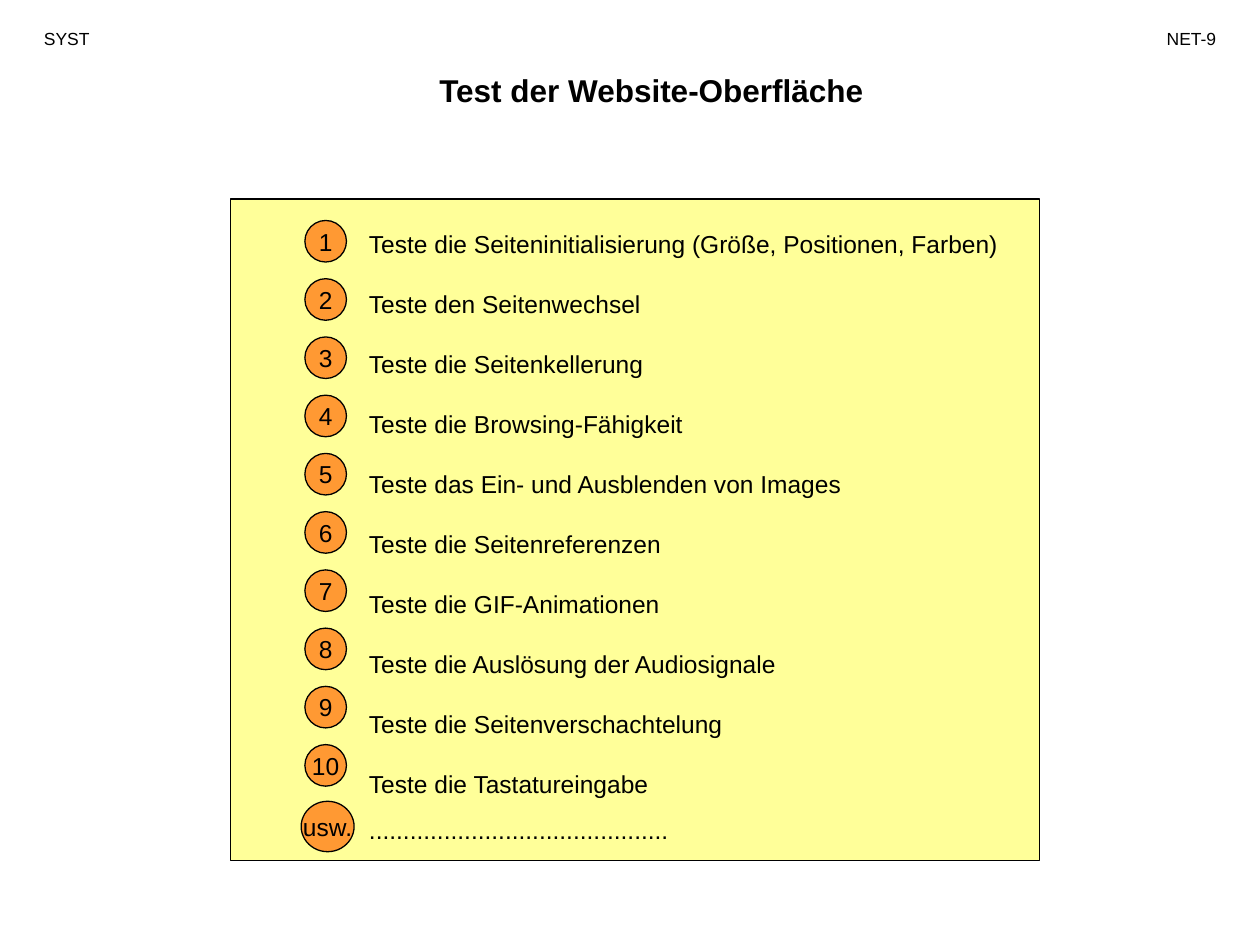
from pptx import Presentation
from pptx.dml.color import RGBColor
from pptx.enum.shapes import MSO_SHAPE as Shape
from pptx.enum.text import MSO_ANCHOR as Anchor, PP_ALIGN as Align
from pptx.util import Inches, Pt

COLORS = {"text": "000000", "panel": "FFFF99", "badge": "FF9933", "line": "000000"}
TITLE = "Test der Website-Oberfläche"
HEADERS = [("SYST", 0.25, Align.LEFT), ("NET-9", 8.83, Align.RIGHT)]
TESTS = [
    "Teste die Seiteninitialisierung (Größe, Positionen, Farben)",
    "Teste den Seitenwechsel",
    "Teste die Seitenkellerung",
    "Teste die Browsing-Fähigkeit",
    "Teste das Ein- und Ausblenden von Images",
    "Teste die Seitenreferenzen",
    "Teste die GIF-Animationen",
    "Teste die Auslösung der Audiosignale",
    "Teste die Seitenverschachtelung",
    "Teste die Tastatureingabe",
]
MORE_LABEL, MORE_TEXT = "usw.", "." * 44
BADGE_TOP, BADGE_LAST, BADGE_SIZE = 1.75, 5.91, 0.33
TEST_GAP, MORE_GAP = 17.5, 9.5


def color(name):
    return RGBColor.from_string(COLORS[name])


def set_text(shape, lines, size, align=Align.LEFT, anchor=Anchor.TOP, bold=False, wrap=True):
    frame = shape.text_frame
    frame.text = "\n".join(lines)
    frame.word_wrap = wrap
    frame.vertical_anchor = anchor
    for para in frame.paragraphs:
        para.alignment = align
        for span in para.runs:
            span.font.name = "Arial"
            span.font.size = Pt(size)
            span.font.bold = bold
            span.font.color.rgb = color("text")
    return frame.paragraphs


def add_filled(page, kind, fill, *place):
    shape = page.shapes.add_shape(kind, *map(Inches, place))
    shape.shadow.inherit = False
    shape.fill.solid()
    shape.fill.fore_color.rgb = color(fill)
    shape.line.color.rgb = color("line")
    shape.line.width = Pt(0.75)
    return shape


def add_badge(page, label, *place):
    badge = add_filled(page, Shape.OVAL, "badge", *place)
    set_text(badge, [label], 14, Align.CENTER, Anchor.MIDDLE, wrap=False)


def main():
    """Build the slide listing the website interface tests."""
    deck = Presentation()
    deck.slide_width, deck.slide_height = Inches(10), Inches(7.5)
    page = deck.slides.add_slide(deck.slide_layouts[5])

    title = page.shapes.title
    title.left, title.top, title.width, title.height = map(Inches, (2.17, 0.51, 6, 0.4))
    set_text(title, [TITLE], 18, Align.CENTER, bold=True)

    for label, left, align in HEADERS:
        box = page.shapes.add_textbox(*map(Inches, (left, 0.17, 0.92, 0.27)))
        set_text(box, [label], 10, align)

    add_filled(page, Shape.RECTANGLE, "panel", 1.83, 1.58, 6.42, 5.25)
    box = page.shapes.add_textbox(*map(Inches, (2.83, 1.77, 5.25, 4.89)))
    paras = set_text(box, TESTS + [MORE_TEXT], 14)
    for para in paras[1:-1]:
        para.space_before = Pt(TEST_GAP)
    paras[-1].space_before = Pt(MORE_GAP)

    pitch = (BADGE_LAST - BADGE_TOP) / (len(TESTS) - 1)
    for index in range(len(TESTS)):
        add_badge(page, str(index + 1), 2.42, BADGE_TOP + index * pitch, BADGE_SIZE, BADGE_SIZE)
    add_badge(page, MORE_LABEL, 2.39, 6.36, 0.42, 0.4)

    deck.save("out.pptx")


if __name__ == "__main__":
    main()
